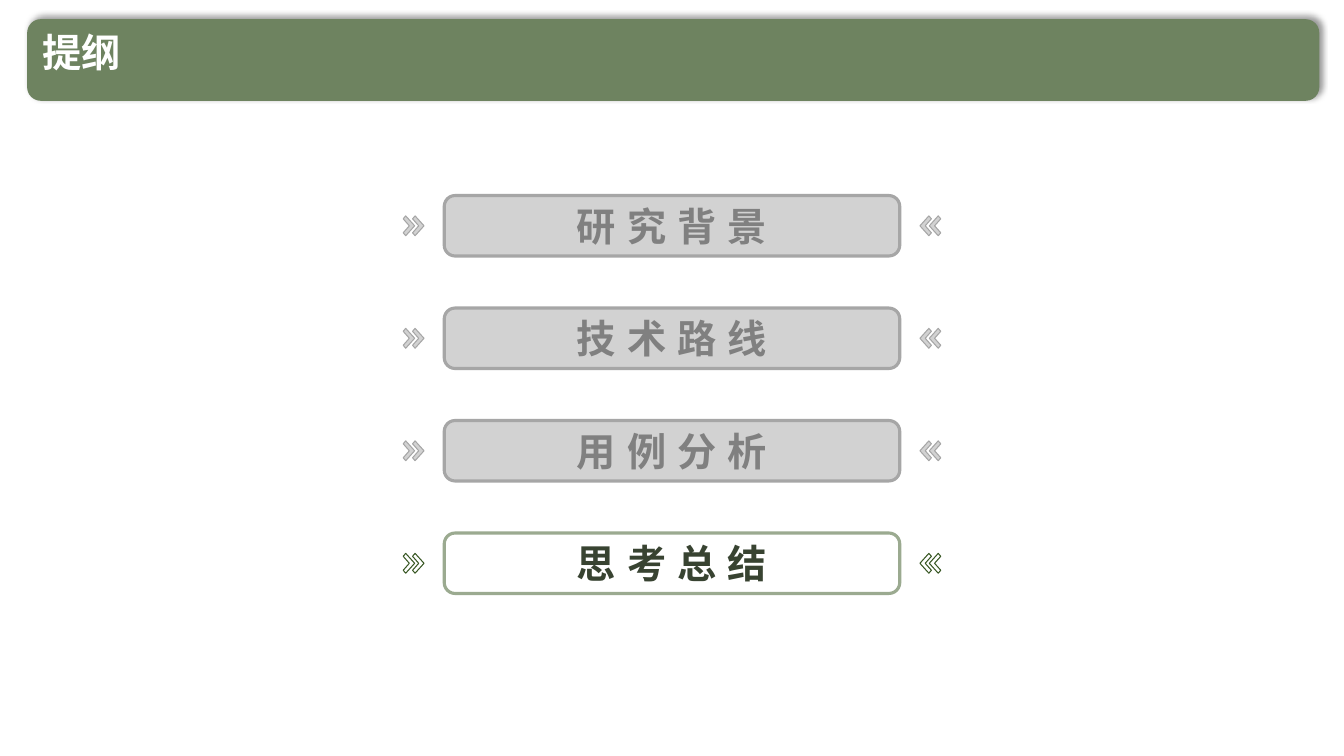
"""Build the outline slide with four agenda entries, the last one highlighted."""
from dataclasses import dataclass
from typing import Any, Optional

from lxml import etree
from pptx import Presentation
from pptx.dml.color import RGBColor
from pptx.enum.shapes import MSO_SHAPE
from pptx.enum.text import MSO_ANCHOR, MSO_AUTO_SIZE, PP_ALIGN
from pptx.oxml import parse_xml
from pptx.oxml.ns import nsdecls, qn
from pptx.util import Pt

ROUNDED = MSO_SHAPE.ROUNDED_RECTANGLE
TOP, MIDDLE = MSO_ANCHOR.TOP, MSO_ANCHOR.MIDDLE
LEFT, CENTER = PP_ALIGN.LEFT, PP_ALIGN.CENTER
NO_AUTOFIT = MSO_AUTO_SIZE.NONE

SLIDE_WIDTH, SLIDE_HEIGHT = 960, 540
BOX_WIDTH, BOX_HEIGHT = 325.4, 43.2
FIRST_TOP, PITCH = 139.7, 80.35
CHEVRON_LEFTS = (288, 294.7)
CHEVRON_HEIGHT = 14.2
CHEVRON = ((1.8, 0), (0, 2.1), (4.4, 7.1), (0, 12.1), (1.8, 14.2), (8.2, 7.1))


@dataclass(frozen=True)
class EntryStyle:
    text: str
    border: str
    chevron: str
    fill: Optional[str] = None


@dataclass(frozen=True)
class Theme:
    font: str = "Noto Sans CJK SC"
    size: float = 28
    letter_spacing: float = 8
    banner: str = "6E8360"
    title: str = "FFFFFF"
    muted: EntryStyle = EntryStyle("808080", "A6A6A6", "A6A6A6", "A6A6A6")
    active: EntryStyle = EntryStyle("384331", "9BAA90", "385723")


@dataclass(frozen=True)
class Entry:
    text: str
    style: EntryStyle


THEME = Theme()
ENTRIES = (
    Entry("研究背景", THEME.muted),
    Entry("技术路线", THEME.muted),
    Entry("用例分析", THEME.muted),
    Entry("思考总结", THEME.active),
)


def apply_format(target: Any, values: dict[str, Any]) -> None:
    for name, value in values.items():
        setattr(target, name, value)


def paint(shape: Any, fill: Optional[str], line: str, width: float) -> None:
    shape.shadow.inherit = False
    if fill is None:
        shape.fill.background()
    else:
        shape.fill.solid()
        shape.fill.fore_color.rgb = RGBColor.from_string(fill)
        color = shape.fill._xPr.find(qn("a:solidFill"))[0]
        etree.SubElement(color, qn("a:alpha"), val="50000")
    shape.line.color.rgb = RGBColor.from_string(line)
    shape.line.width = Pt(width)


def write(shape: Any, text: str, color: str, alignment: Any, spacing: float = 0) -> None:
    paragraph = shape.text_frame.paragraphs[0]
    paragraph.alignment = alignment
    run = paragraph.add_run()
    run.text = text
    apply_format(run.font, {"name": THEME.font, "size": Pt(THEME.size), "bold": True})
    run.font.color.rgb = RGBColor.from_string(color)
    properties = run._r.get_or_add_rPr()
    properties.set("spc", str(int(spacing * 100)))
    etree.SubElement(properties, qn("a:ea"), typeface=THEME.font)


def add_banner(slide: Any, text: str) -> None:
    banner = slide.shapes.add_shape(ROUNDED, Pt(19.4), Pt(13.7), Pt(923), Pt(58.3))
    banner.fill.solid()
    banner.fill.fore_color.rgb = RGBColor.from_string(THEME.banner)
    banner.line.fill.background()
    banner._element.spPr.append(parse_xml(
        f'<a:effectLst {nsdecls("a")}><a:outerShdw blurRad="{Pt(4)}" dist="{Pt(3)}" '
        'dir="18900000" algn="bl" rotWithShape="0"><a:srgbClr val="000000">'
        '<a:alpha val="40000"/></a:srgbClr></a:outerShdw></a:effectLst>'))
    title = slide.shapes.title
    apply_format(title, {"left": Pt(23), "top": Pt(20.2), "width": Pt(797), "height": Pt(44.6)})
    apply_format(title.text_frame, {
        "vertical_anchor": TOP, "auto_size": NO_AUTOFIT, "word_wrap": True})
    write(title, text, THEME.title, LEFT)
    title.text_frame.paragraphs[0].line_spacing = 0.9
    banner._element.addnext(title._element)


def add_chevron(group: Any, left: float, top: float, mirrored: bool, style: EntryStyle) -> None:
    points = [(Pt(SLIDE_WIDTH - left - x if mirrored else left + x), Pt(top + y))
              for x, y in CHEVRON]
    builder = group.shapes.build_freeform(*points[0], scale=1.0)
    builder.add_line_segments(points[1:], close=True)
    paint(builder.convert_to_shape(), style.fill, style.chevron, 0.75)


def add_entry(slide: Any, entry: Entry, top: float) -> None:
    group = slide.shapes.add_group_shape()
    for mirrored in (False, True):
        for left in CHEVRON_LEFTS:
            add_chevron(group, left, top + (BOX_HEIGHT - CHEVRON_HEIGHT) / 2, mirrored, entry.style)
    box = group.shapes.add_shape(ROUNDED, Pt((SLIDE_WIDTH - BOX_WIDTH) / 2), Pt(top),
                                 Pt(BOX_WIDTH), Pt(BOX_HEIGHT))
    box.adjustments[0] = 0.18
    paint(box, entry.style.fill, entry.style.border, 2.25)
    box.text_frame.vertical_anchor = MIDDLE
    write(box, entry.text, entry.style.text, CENTER, THEME.letter_spacing)


def main() -> None:
    presentation = Presentation()
    apply_format(presentation, {"slide_width": Pt(SLIDE_WIDTH), "slide_height": Pt(SLIDE_HEIGHT)})
    slide = presentation.slides.add_slide(presentation.slide_layouts[5])
    add_banner(slide, "提纲")
    for index, entry in enumerate(ENTRIES):
        add_entry(slide, entry, FIRST_TOP + index * PITCH)
    presentation.save("out.pptx")


if __name__ == "__main__":
    main()
